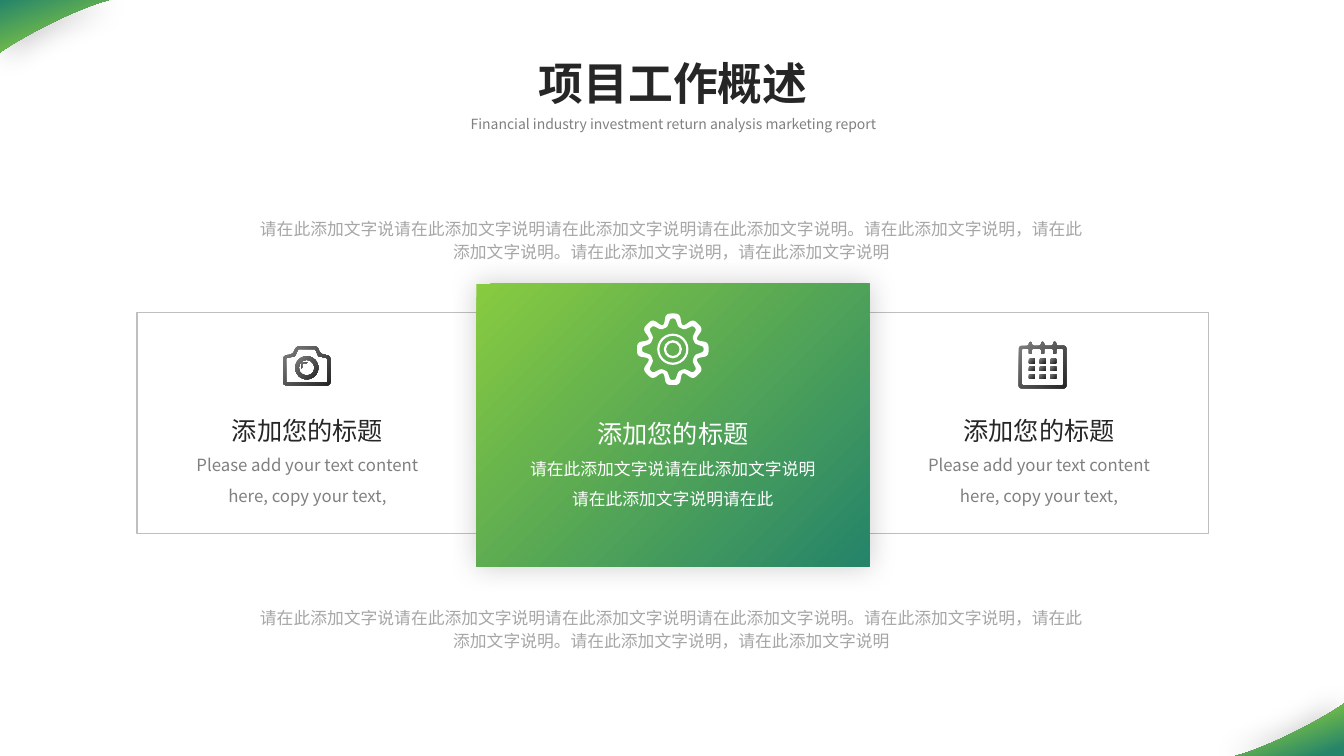
from dataclasses import dataclass
from math import cos, pi, sin

from lxml import etree
from pptx import Presentation
from pptx.dml.color import RGBColor
from pptx.enum.shapes import MSO_SHAPE
from pptx.enum.text import MSO_ANCHOR, MSO_AUTO_SIZE, PP_ALIGN
from pptx.oxml.ns import qn
from pptx.util import Inches, Pt

RECTANGLE, DONUT = MSO_SHAPE.RECTANGLE, MSO_SHAPE.DONUT
CENTER, TOP = PP_ALIGN.CENTER, MSO_ANCHOR.TOP
GROW = MSO_AUTO_SIZE.SHAPE_TO_FIT_TEXT

COLUMNS, ROWS = 160, 90
CELL = Inches(1) / 12  # one square grid cell
STEP = CELL * 0.12  # fine step for outlines inside a cell
FONT = "Noto Sans CJK SC"

WHITE = RGBColor(0xFF, 0xFF, 0xFF)
INK = RGBColor(0x26, 0x26, 0x26)
GRAY = RGBColor(0x80, 0x80, 0x80)
PALE = RGBColor(0xA6, 0xA6, 0xA6)
BORDER = RGBColor(0xBF, 0xBF, 0xBF)
GREEN = RGBColor(0x88, 0xCB, 0x40)
TEAL = RGBColor(0x25, 0x84, 0x6A)

Point = tuple[float, float]


@dataclass
class Area:
    left: float
    top: float
    width: float
    height: float

    def emu(self) -> list[int]:
        return [round(v * CELL) for v in (self.left, self.top, self.width, self.height)]


@dataclass
class Gradient:
    first: RGBColor
    last: RGBColor
    angle: float = 45  # clockwise
    start: float = 0
    end: float = 1


@dataclass
class Line:
    text: str
    size: float
    color: RGBColor
    bold: bool = False


@dataclass
class TextBlock:
    area: Area
    lines: list[Line]
    spacing: float = 1.0


HEADING = "添加您的标题"
INTRO = ("请在此添加文字说请在此添加文字说明请在此添加文字说明请在此添加文字说明。请在此添加文字说明，"
         "请在此添加文字说明。请在此添加文字说明，请在此添加文字说明")
SIDE_LINES = [Line(HEADING, 18, INK),
              Line("Please add your text content here, copy your text,", 12, GRAY)]
CENTER_LINES = [Line(HEADING, 18, WHITE),
                Line("请在此添加文字说请在此添加文字说明请在此添加文字说明请在此", 12, WHITE)]
TITLE = TextBlock(Area(62.8, 6, 34.7, 7.7), [Line("项目工作概述", 32, INK, True)])
BLOCKS = [
    TextBlock(Area(43.6, 13.1, 73.1, 3.2), [
        Line("Financial industry investment return analysis marketing report", 10, GRAY)]),
    *[TextBlock(Area(28.9, top, 102.1, 6.5), [Line(INTRO, 12, PALE)], 1.14)
      for top in (25.1, 71.4)],
    *[TextBlock(Area(left, 47, 31.6, 13.9), SIDE_LINES, 1.5) for left in (20.8, 107.9)],
    TextBlock(Area(61.9, 47.4, 36.4, 13.9), CENTER_LINES, 1.5),
]
DARK = Gradient(GRAY, INK)


def paint(shape, fill: Gradient | RGBColor) -> None:
    shape.shadow.inherit = False
    shape.line.fill.background()
    if isinstance(fill, RGBColor):
        shape.fill.solid()
        shape.fill.fore_color.rgb = fill
        return
    shape.fill.gradient()
    shape.fill.gradient_angle = 360 - fill.angle
    ends = ((fill.first, fill.start), (fill.last, fill.end))
    for stop, (color, position) in zip(shape.fill.gradient_stops, ends):
        stop.color.rgb, stop.position = color, position


def add_shadow(shape, distance: float = 0, angle: float = 0) -> None:
    effects = shape._element.spPr.find(qn("a:effectLst"))
    shadow = etree.SubElement(effects, qn("a:outerShdw"), blurRad=str(Pt(20)),
                              dist=str(Pt(distance)), dir=str(angle * 60000),
                              algn="ctr", rotWithShape="0")
    color = etree.SubElement(shadow, qn("a:srgbClr"), val="000000")
    etree.SubElement(color, qn("a:alpha"), val="20000")


def add_preset(shapes, kind, area: Area, fill: Gradient | RGBColor):
    shape = shapes.add_shape(kind, *area.emu())
    paint(shape, fill)
    return shape


def add_ring(shapes, area: Area, fill: Gradient | RGBColor, thickness: float) -> None:
    add_preset(shapes, DONUT, area, fill).adjustments[0] = thickness


def add_outline(shapes, left: float, top: float, contours: list[list[Point]], fill):
    """Fill contours given in fine steps from a grid position; inner ones become holes."""
    placed = [[(round(left * CELL + x * STEP), round(top * CELL + y * STEP))
               for x, y in contour] for contour in contours]
    builder = shapes.build_freeform(*placed[0][0], scale=1.0)
    for number, contour in enumerate(placed):
        if number:
            builder.move_to(*contour[0])
        builder.add_line_segments(contour[1:], close=True)
    shape = builder.convert_to_shape()
    paint(shape, fill)
    return shape


def bezier(points: list[Point], pieces: int) -> list[Point]:
    """Sample a curve of any degree by repeated interpolation."""
    curve = []
    for piece in range(pieces + 1):
        share, level = piece / pieces, points
        while len(level) > 1:
            level = [(a + (c - a) * share, b + (d - b) * share)
                     for (a, b), (c, d) in zip(level, level[1:])]
        curve += level
    return curve


def rounded(points: list[Point], radius: float) -> list[Point]:
    """Round each vertex, using at most half of each adjoining edge."""
    result = []
    for number, (x, y) in enumerate(points):
        ends = []
        for a, b in (points[number - 1], points[(number + 1) % len(points)]):
            length = ((a - x) ** 2 + (b - y) ** 2) ** 0.5
            share = min(radius / length, 0.5)
            ends.append((x + (a - x) * share, y + (b - y) * share))
        result += bezier([ends[0], (x, y), ends[1]], 5)
    return result


def gear_contour(tooth: list[Point], radius: float) -> list[Point]:
    turns = [number * pi / 4 for number in range(8)]
    return rounded([(x * cos(turn) - y * sin(turn), x * sin(turn) + y * cos(turn))
                    for turn in turns for x, y in tooth], radius)


def draw_corners(shapes) -> None:
    edge = bezier([(108, 0), (74, 9), (21, 37), (0, 52)], 24)
    corners = ((0, 0, 0, 0, 0.79, 45), (COLUMNS - 12.96, ROWS - 6.24, 180, 0.09, 0.74, 180))
    for left, top, rotation, start, end, shadow_angle in corners:
        fill = Gradient(TEAL, GREEN, 70, start, end)
        corner = add_outline(shapes, left, top, [[(0, 0), *edge]], fill)
        corner.rotation = rotation
        add_shadow(corner, 5, shadow_angle)


def draw_camera(shapes, left: float, top: float) -> None:
    body = [(0, 39), (0, 9.5), (10, 8), (13, 0), (34, 0), (37, 8), (47, 9.5), (47, 39)]
    hole = [(3, 36), (3, 12), (12, 10), (15, 3), (32, 3), (35, 10), (44, 12), (44, 36)]
    glint = [(18, 22), (18, 16), (24, 16), (24, 17), (19, 17), (19, 22)]
    add_outline(shapes, left, top, [rounded(body, 4), rounded(hole, 1)], DARK)
    add_outline(shapes, left, top, [rounded(glint, 5)], DARK)
    add_ring(shapes, Area(left + 1.44, top + 1.2, 2.76, 2.76), DARK, 0.16)


def draw_gear(shapes, center: float, middle: float) -> None:
    outer = [(-8.5, -24.5), (-7, -35.5), (7, -35.5), (8.5, -24.5)]
    inner = [(-5.5, -22), (-2.5, -30.5), (2.5, -30.5), (5.5, -22)]
    add_outline(shapes, center, middle,
                [gear_contour(outer, 5), gear_contour(inner, 2)], WHITE)
    for size, thickness in ((3.72, 0.07), (2.16, 0.13)):
        area = Area(center - size / 2, middle - size / 2, size, size)
        add_ring(shapes, area, WHITE, thickness)


def draw_calendar(shapes, left: float, top: float) -> None:
    contours = []
    for side, right, base, tip, bottom in ((0, 47, 4, 0, 46), (3, 44, 7, 12, 43)):
        pins = [point for x in (10, 22, 34)
                for point in ((x, base), (x, tip), (x + 3, tip), (x + 3, base))]
        frame = [(side, bottom), (side, base), *pins, (right, base), (right, bottom)]
        contours.append(rounded(frame, 3 if side == 0 else 1))
    add_outline(shapes, left, top, contours, DARK)
    for row in range(3):
        for column in range(3):
            day = Area(left + 1.2 + column * 1.26, top + 2.04 + row * 0.9, 0.72, 0.48)
            add_preset(shapes, RECTANGLE, day, DARK)


def write(box, block: TextBlock, wrap: bool = True) -> None:
    box.left, box.top, box.width, box.height = block.area.emu()
    frame = box.text_frame
    settings = {"word_wrap": wrap, "auto_size": GROW, "vertical_anchor": TOP}
    for name, value in settings.items():
        setattr(frame, name, value)
    for number, line in enumerate(block.lines):
        para = frame.add_paragraph() if number else frame.paragraphs[0]
        para.alignment, para.line_spacing = CENTER, block.spacing
        span = para.add_run()
        span.text = line.text
        span.font.color.rgb = line.color
        formats = {"size": Pt(line.size), "bold": line.bold, "name": FONT}
        for name, value in formats.items():
            setattr(span.font, name, value)
        etree.SubElement(span._r.get_or_add_rPr(), qn("a:ea"), typeface=FONT)


def main() -> None:
    deck = Presentation()
    deck.slide_width, deck.slide_height = round(COLUMNS * CELL), round(ROWS * CELL)
    page = deck.slides.add_slide(deck.slide_layouts[5])
    draw_corners(page.shapes)
    band = add_preset(page.shapes, RECTANGLE, Area(16.3, 37.2, 127.6, 26.3), WHITE)
    band.fill.background()
    band.line.color.rgb, band.line.width = BORDER, Pt(1)
    card = add_preset(page.shapes, RECTANGLE, Area(56.7, 33.8, 46.8, 33.6),
                      Gradient(GREEN, TEAL))
    add_shadow(card)
    icons = ((draw_camera, 33.7, 41.2), (draw_gear, 80.1, 41.58), (draw_calendar, 121.3, 40.7))
    for draw, left, top in icons:
        draw(page.shapes.add_group_shape().shapes, left, top)
    write(page.shapes.title, TITLE, wrap=False)
    for block in BLOCKS:
        write(page.shapes.add_textbox(*block.area.emu()), block)
    deck.save("out.pptx")


if __name__ == "__main__":
    main()
